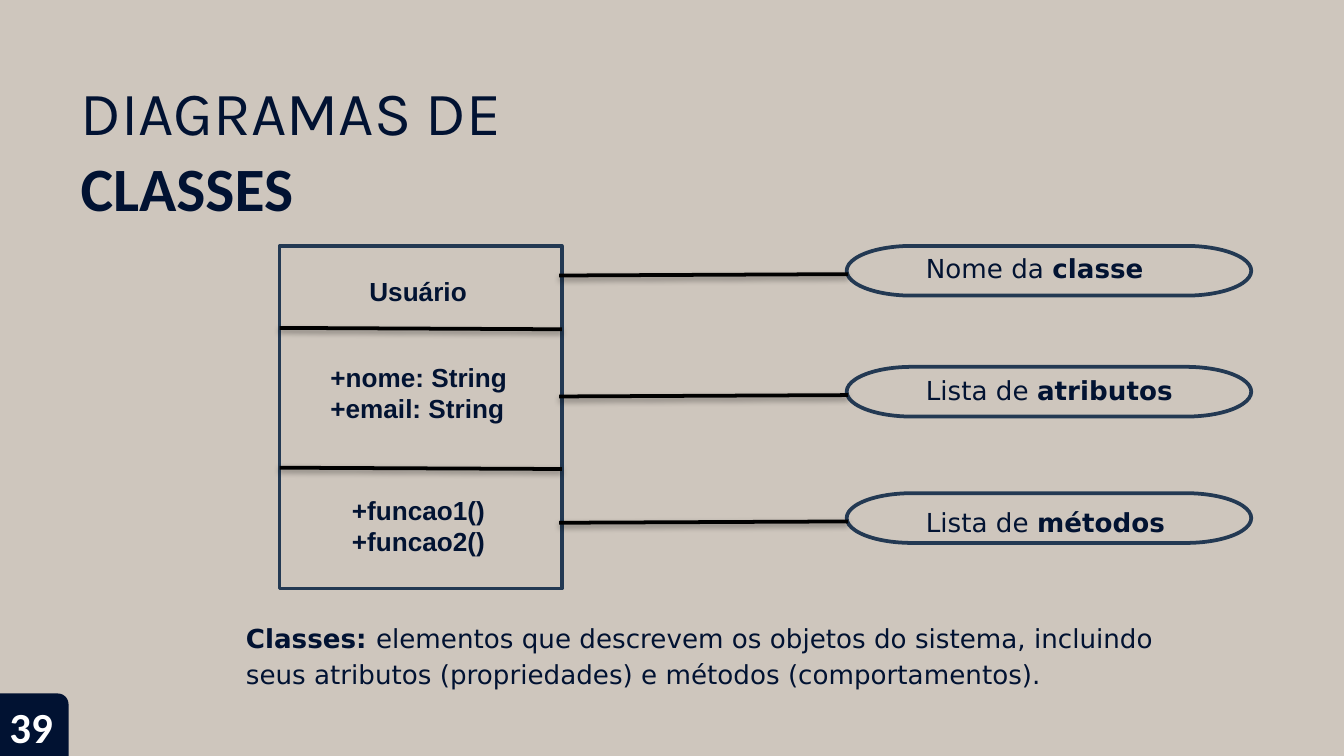
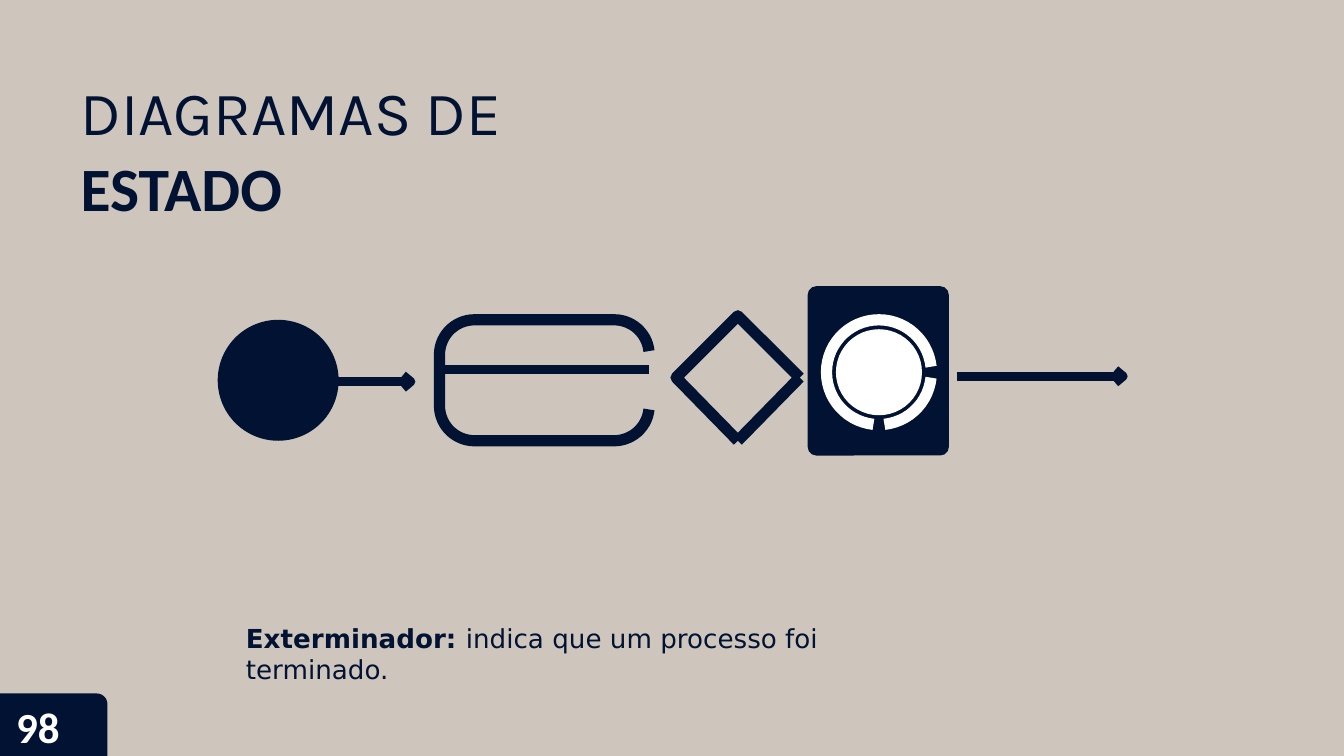
import math

import lxml.etree
import pptx
import pptx.dml.color
import pptx.enum.shapes
import pptx.oxml
import pptx.oxml.ns
import pptx.util

PX = 9144  # one px is a hundredth of an inch
PAGE_WIDTH = 1000
PAGE_HEIGHT = PAGE_WIDTH * 9 / 16
NAVY, INK, STEEL = "011232", "021332", "233953"
SAND, WHITE, BLACK = "CEC6BD", "FFFFFF", "000000"
PRESET = pptx.enum.shapes.MSO_SHAPE
SHADOW = (
    f'<a:effectLst {pptx.oxml.ns.nsdecls("a")}>'
    '<a:outerShdw blurRad="39370" dist="20320" dir="5400000" rotWithShape="0">'
    f'<a:srgbClr val="{BLACK}"><a:alpha val="38000"/></a:srgbClr>'
    "</a:outerShdw></a:effectLst>"
)


def px(length):
    return pptx.util.Emu(round(length * PX))


def color(value):
    return pptx.dml.color.RGBColor.from_string(value)


def arc(center_x, center_y, radius, start, end):
    """Points along an arc, angles in degrees clockwise from the right."""
    steps = max(1, round(abs(end - start) / 6))
    angles = [math.radians(start + (end - start) * i / steps) for i in range(steps + 1)]
    return [(center_x + radius * math.cos(a), center_y + radius * math.sin(a))
            for a in angles]


class Slides:
    def __init__(self):
        self.deck = pptx.Presentation()
        self.deck.slide_width, self.deck.slide_height = px(PAGE_WIDTH), px(PAGE_HEIGHT)
        self.page = None

    def start(self, subject, number, tab_width, number_indent):
        """New page with the shared background, title and number tab."""
        self.page = self.deck.slides.add_slide(self.deck.slide_layouts[6])
        self.page.background.fill.solid()
        self.page.background.fill.fore_color.rgb = color(SAND)
        title = self.text(59, 54, 380, 114, [[("DIAGRAMAS DE", False)], [(subject, True)]],
                          "Karla", size=33, tint=NAVY, margins=(1, 1))
        title.paragraphs[1].font.name = "Calibri"
        title.paragraphs[1].space_before = pptx.util.Pt(1)
        tab = self.shape(PRESET.ROUND_1_RECTANGLE, 0, 516, tab_width, PAGE_HEIGHT - 516,
                         fill=NAVY)
        tab.adjustments[0] = 0.17
        self.text(4, 518, 61, 42, [[(number, True)]], "Calibri", size=23,
                  tint=WHITE, margins=(number_indent, 3))

    def text(self, left, top, width, height, lines, font, size=14, tint=INK,
             margins=None, spacing=None):
        """Text box; each line is a list of (text, bold) spans."""
        frame = self.page.shapes.add_textbox(px(left), px(top), px(width), px(height)).text_frame
        frame.word_wrap = True
        if margins:
            frame.margin_left, frame.margin_top = map(px, margins)
            frame.margin_right = frame.margin_bottom = 0
        for index, spans in enumerate(lines):
            para = frame.add_paragraph() if index else frame.paragraphs[0]
            para.font.name, para.font.size = font, pptx.util.Pt(size)
            para.font.color.rgb = color(tint)
            if spacing:
                para.line_spacing = spacing
            for words, bold in spans:
                span = para.add_run()
                span.text = words
                if len(spans) > 1:
                    span.font.bold = bold
                else:
                    para.font.bold = bold
        return frame

    def caption(self, top, width, height, term, meaning, spacing=None):
        self.text(182, top, width, height, [[(term, True), (meaning, False)]],
                  "DejaVu Sans", tint=NAVY, margins=(1, 1), spacing=spacing)

    def paint(self, shape, fill=None, line=None, weight=2):
        shape.shadow.inherit = False
        if fill:
            shape.fill.solid()
            shape.fill.fore_color.rgb = color(fill)
        else:
            shape.fill.background()
        if line:
            shape.line.color.rgb = color(line)
            shape.line.width = pptx.util.Pt(weight)
        else:
            shape.line.fill.background()
        return shape

    def shape(self, preset, left, top, width, height, **style):
        box = self.page.shapes.add_shape(preset, px(left), px(top), px(width), px(height))
        return self.paint(box, **style)

    def strokes(self, paths, tint=NAVY, weight=6):
        """One open outline made of one or more paths."""
        paths = [[(px(x), px(y)) for x, y in path] for path in paths]
        builder = self.page.shapes.build_freeform(*paths[0][0])
        for index, path in enumerate(paths):
            if index:
                builder.move_to(*path[0])
            builder.add_line_segments(path[1:], close=False)
        return self.paint(builder.convert_to_shape(), line=tint, weight=weight)

    def line(self, x1, y1, x2, y2, tint=NAVY, weight=4.5, shadow=False):
        link = self.page.shapes.add_connector(
            pptx.enum.shapes.MSO_CONNECTOR.STRAIGHT, px(x1), px(y1), px(x2), px(y2))
        link.line.color.rgb = color(tint)
        link.line.width = pptx.util.Pt(weight)
        properties = link._element.spPr
        if shadow:
            properties.append(pptx.oxml.parse_xml(SHADOW))
        else:
            lxml.etree.SubElement(properties, pptx.oxml.ns.qn("a:effectLst"))

    def arrow(self, x1, x2, y):
        self.line(x1, y, x2, y)
        self.strokes([[(x2 - 6, y - 5), (x2, y), (x2 - 6, y + 5)]], weight=4.5)


def class_page(slides):
    slides.start("CLASSES", "39", tab_width=51, number_indent=3)
    slides.caption(458, 695, 56, "Classes: ",
                   "elementos que descrevem os objetos do sistema, incluindo seus "
                   "atributos (propriedades) e métodos (comportamentos).", spacing=1.17)

    # Class box with its two dividers
    slides.shape(PRESET.RECTANGLE, 208, 183, 210, 255, line=STEEL)
    for y in (244, 348):
        slides.line(208, y, 418, y + 1, BLACK, 2, shadow=True)
    compartments = [
        (265, 200, 96, 34, ["Usuário"]),
        (236, 264, 153, 81, ["+nome: String", "+email: String"]),
        (252, 363, 122, 81, ["+funcao1()", "+funcao2()"]),
    ]
    for left, top, width, height, members in compartments:
        slides.text(left, top, width, height, [[(m, True)] for m in members], "Arial")

    # Callouts
    callouts = [
        (183, 183, "Nome da ", "classe"),
        (273, 274, "Lista de ", "atributos"),
        (367, 372, "Lista de ", "métodos"),
    ]
    for top, label_top, lead, term in callouts:
        slides.shape(PRESET.FLOWCHART_TERMINATOR, 630, top, 301, 37, line=STEEL)
        slides.line(416, top + 22, 631, top + 21, BLACK, 2, shadow=True)
        slides.text(679, label_top, 302, 34, [[(lead, False), (term, True)]], "DejaVu Sans")


def state_page(slides):
    slides.start("ESTADO", "98", tab_width=80, number_indent=8)

    # Initial state
    slides.shape(PRESET.OVAL, 162, 238, 90, 90, fill=NAVY)
    slides.arrow(229, 306, 284)

    # State with its divider
    slides.strokes([arc(457, 302, 26, 6, 90) + arc(353, 302, 26, 90, 180)
                    + arc(353, 264, 26, 180, 270) + arc(457, 264, 26, 270, 354)])
    slides.line(327, 275, 483, 275)

    # Decision
    top, right, bottom, left = (549, 235), (595, 281), (549, 328), (503, 281)
    slides.strokes([[right, bottom], [bottom, left, top, right]])

    # Final state on its panel
    panel = slides.shape(PRESET.ROUNDED_RECTANGLE, 601, 213, 105, 126, fill=NAVY)
    panel.adjustments[0] = 0.06
    slides.strokes([arc(654, 277, 39, 84, 6), arc(654, 277, 39, 354, 96)], tint=WHITE)
    slides.shape(PRESET.OVAL, 622, 245, 64, 64, fill=WHITE)
    slides.arrow(712, 836, 280)

    slides.caption(462, 530, 48, "Exterminador: ", "indica que um processo foi terminado.")


def main():
    slides = Slides()
    class_page(slides)
    state_page(slides)
    slides.deck.save("out.pptx")


if __name__ == "__main__":
    main()
